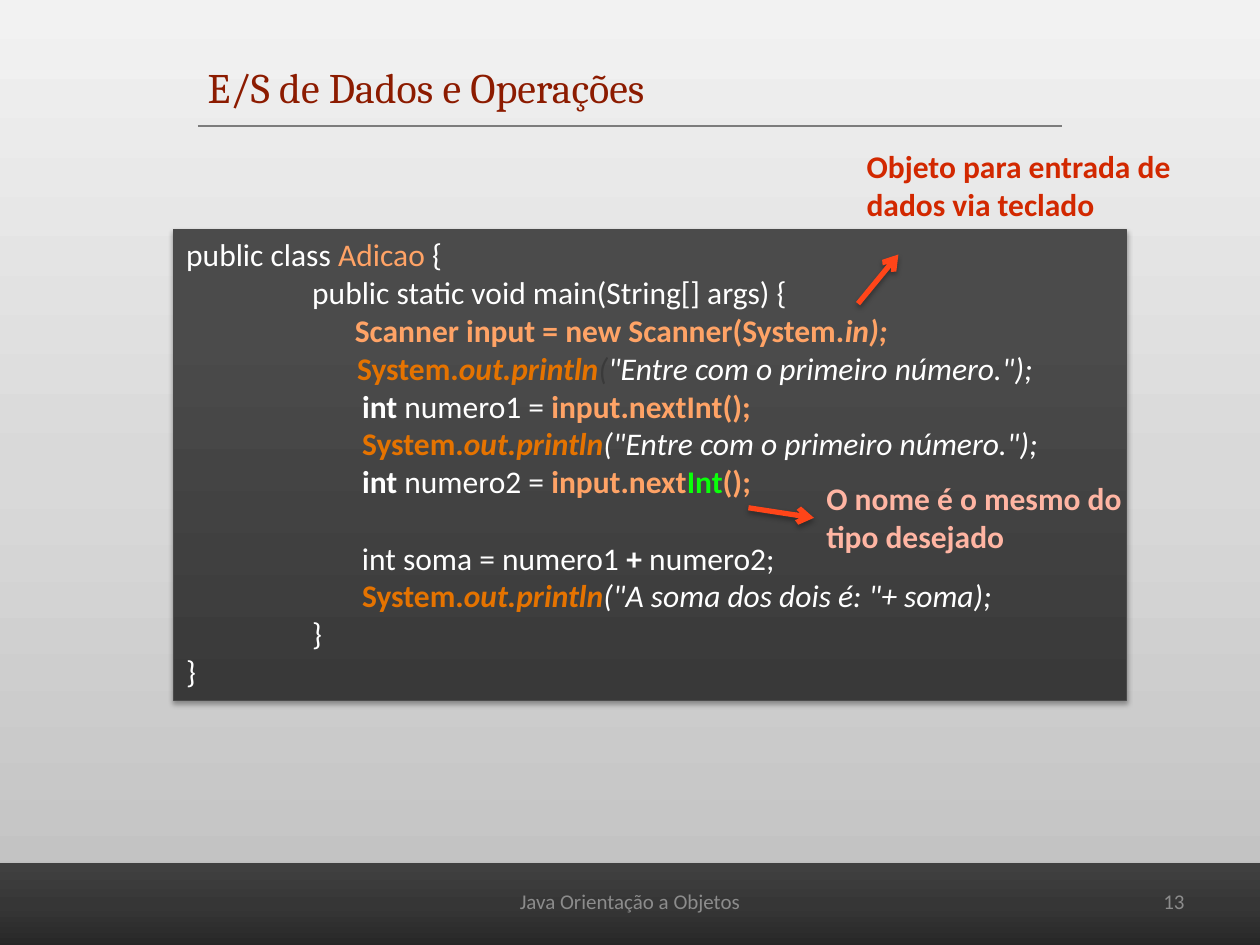
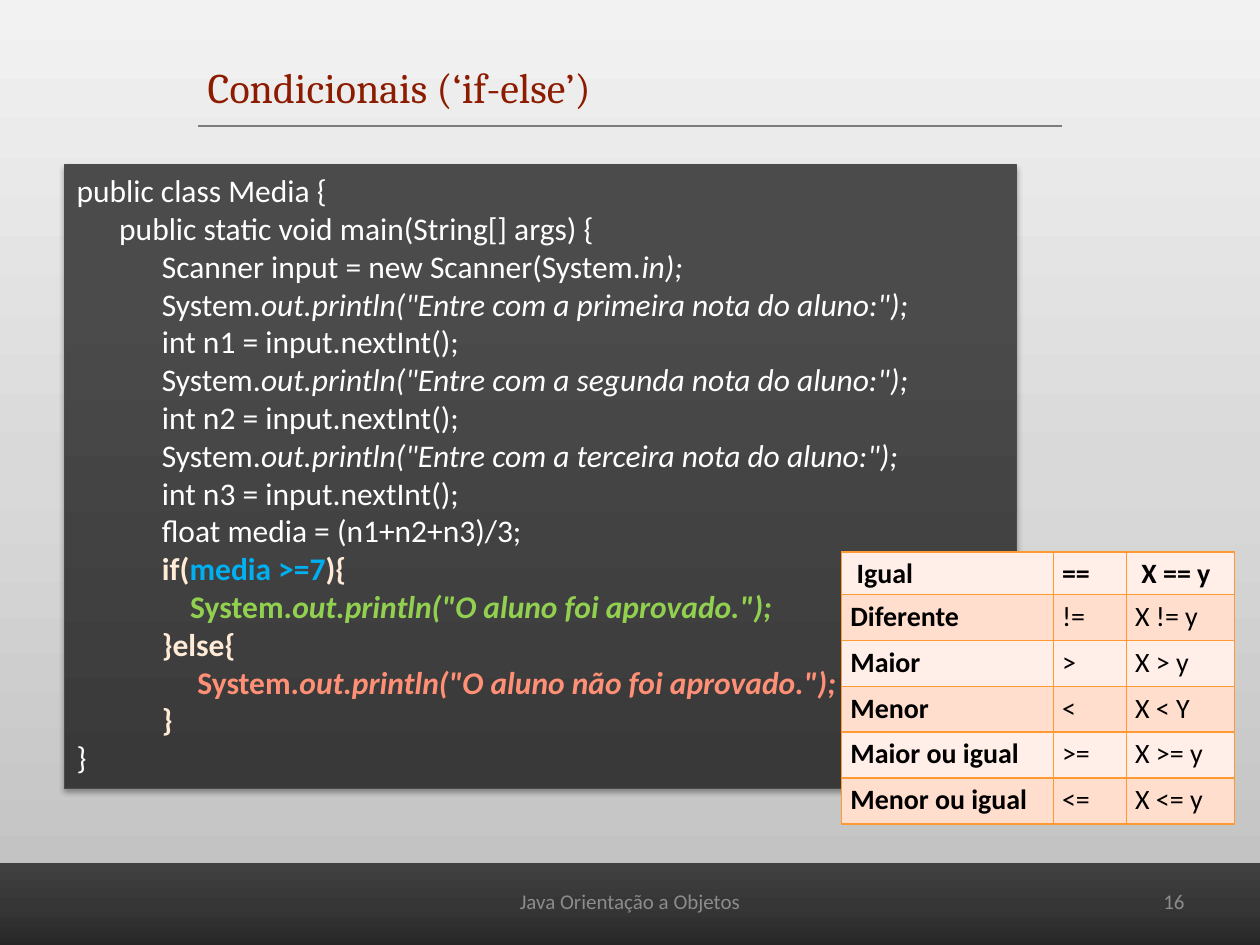
from lxml import etree
from pptx import Presentation
from pptx.dml.color import RGBColor
from pptx.enum.shapes import MSO_CONNECTOR, MSO_SHAPE
from pptx.enum.text import MSO_ANCHOR, PP_ALIGN
from pptx.oxml.ns import qn
from pptx.util import Inches, Pt

RECTANGLE = MSO_SHAPE.RECTANGLE
STRAIGHT = MSO_CONNECTOR.STRAIGHT
TOP, MIDDLE = MSO_ANCHOR.TOP, MSO_ANCHOR.MIDDLE
LEFT, CENTER, RIGHT, JUSTIFY = PP_ALIGN.LEFT, PP_ALIGN.CENTER, PP_ALIGN.RIGHT, PP_ALIGN.JUSTIFY

TITLE_RED = RGBColor(0x8C, 0x1B, 0x00)
RULE_GRAY = RGBColor(0x7C, 0x7C, 0x7C)
FOOTER_GRAY = RGBColor(0x8C, 0x8C, 0x8C)
CODE_BORDER = RGBColor(0x4B, 0x4B, 0x4B)
DARK_GRAY = RGBColor(0x3A, 0x3A, 0x3A)
WHITE = RGBColor(0xFF, 0xFF, 0xFF)
BLACK = RGBColor(0x00, 0x00, 0x00)
PEACH = RGBColor(0xFF, 0xA3, 0x66)
ORANGE = RGBColor(0xE5, 0x73, 0x00)
NEON_GREEN = RGBColor(0x0A, 0xFF, 0x0A)
CREAM = RGBColor(0xFF, 0xEB, 0xD6)
SKY_BLUE = RGBColor(0x00, 0xB0, 0xF0)
PASS_GREEN = RGBColor(0x92, 0xD0, 0x50)
FAIL_RED = RGBColor(0xFF, 0x8F, 0x75)
ARROW_RED = RGBColor(0xFF, 0x45, 0x19)
NOTE_RED = RGBColor(0xD2, 0x28, 0x00)
NOTE_PINK = RGBColor(0xFF, 0xB5, 0xA3)
TABLE_BORDER = RGBColor(0xFF, 0x99, 0x33)
ROW_FILLS = (RGBColor(0xFF, 0xEF, 0xE8), RGBColor(0xFF, 0xDE, 0xCE))

BACKGROUND_STOPS = (
    (0, RGBColor(0xF2, 0xF2, 0xF2)),
    (50, RGBColor(0xD9, 0xD9, 0xD9)),
    (100, RGBColor(0xBF, 0xBF, 0xBF)),
)
BAND_STOPS = (
    (0, RGBColor(0x40, 0x40, 0x40)),
    (50, RGBColor(0x36, 0x36, 0x36)),
    (100, RGBColor(0x26, 0x26, 0x26)),
)
CODE_STOPS = ((0, CODE_BORDER), (20, CODE_BORDER), (100, RGBColor(0x39, 0x39, 0x39)))

HEADING_FONT, BODY_FONT = "Cambria", "Calibri"
FOOTER_TEXT = "Java Orientação a Objetos"

PLAIN = (WHITE, False, False)
BOLD = (WHITE, True, False)
ITALIC = (WHITE, False, True)
PEACH_PLAIN = (PEACH, False, False)
PEACH_BOLD = (PEACH, True, False)
PEACH_ITALIC = (PEACH, True, True)
SYSTEM = (ORANGE, True, False)
PRINT = (ORANGE, True, True)
BRANCH = (CREAM, True, False)

STATEMENT = "\t       "
ADDITION_CODE = (
    (("public class ", PLAIN), ("Adicao", PEACH_PLAIN), (" {", PLAIN)),
    (("\tpublic static void main(String[] args) {", PLAIN),),
    (("\t      Scanner input = new Scanner(System.", PEACH_BOLD), ("in);", PEACH_ITALIC)),
    ((" " * 24, PLAIN), ("System.", SYSTEM), ("out.println", PRINT),
     ("(", (DARK_GRAY, False, True)), ('"Entre com o primeiro número.");', ITALIC)),
    ((STATEMENT, PLAIN), ("int", BOLD), (" numero1 = ", PLAIN), ("input.nextInt();", PEACH_BOLD)),
    ((STATEMENT, PLAIN), ("System.", SYSTEM), ("out.println", PRINT),
     ('("Entre com o primeiro número.");', ITALIC)),
    ((STATEMENT, PLAIN), ("int", BOLD), (" numero2 = ", PLAIN), ("input.next", PEACH_BOLD),
     ("Int", (NEON_GREEN, True, False)), ("();", PEACH_BOLD)),
    ((STATEMENT + "int soma = numero1 ", PLAIN), ("+ ", BOLD), ("numero2;", PLAIN)),
    ((STATEMENT, PLAIN), ("System.", SYSTEM), ("out.println", PRINT),
     ('("A soma dos dois é: "+ soma);', ITALIC)),
    (("\t}", PLAIN),),
    (("}", PLAIN),),
)
SUM_LINE = 7

INDENT = " " * 12


def grade_prompt(variable, ordinal):
    return (
        ((INDENT + "System.", PLAIN),
         (f'out.println("Entre com a {ordinal} nota do aluno:");', ITALIC)),
        ((f"{INDENT}int {variable} = input.nextInt();", PLAIN),),
    )


AVERAGE_CODE = (
    (("public class Media {", PLAIN),),
    (("      public static void main(String[] args) {", PLAIN),),
    ((INDENT + "Scanner input = new Scanner(System.", PLAIN), ("in);", ITALIC)),
    *grade_prompt("n1", "primeira"),
    *grade_prompt("n2", "segunda"),
    *grade_prompt("n3", "terceira"),
    ((INDENT + "float media = (n1+n2+n3)/3;", PLAIN),),
    ((INDENT + "if(", BRANCH), ("media >=7", (SKY_BLUE, True, False)), ("){", BRANCH)),
    ((INDENT + "    System.", (PASS_GREEN, True, False)),
     ('out.println("O aluno foi aprovado.");', (PASS_GREEN, True, True))),
    ((INDENT + "}else{", BRANCH),),
    ((INDENT + "     System.", (FAIL_RED, True, False)),
     ('out.println("O aluno não foi aprovado.");', (FAIL_RED, True, True))),
    ((INDENT + "}", BRANCH),),
    (("}", PLAIN),),
)

OPERATORS = (
    (" Igual", "==", " X == y"),
    ("Diferente", "!=", "X != y"),
    ("Maior", ">", "X > y"),
    ("Menor", "<", "X < Y"),
    ("Maior ou igual", ">=", "X >= y"),
    ("Menor ou igual", "<=", "X <= y"),
)


def add_element(parent, tag, **attributes):
    return etree.SubElement(parent, qn(tag), {key: str(value) for key, value in attributes.items()})


def set_gradient(fill, owner, stops):
    fill.gradient()
    fill.gradient_angle = 270
    stop_list = owner.find(".//" + qn("a:gsLst"))
    for stop in list(stop_list):
        stop_list.remove(stop)
    for position, color in stops:
        stop = add_element(stop_list, "a:gs", pos=position * 1000)
        add_element(stop, "a:srgbClr", val=color)


def set_effects(shape, shadow):
    effects = add_element(shape._element.spPr, "a:effectLst")
    if shadow:
        outer = add_element(effects, "a:outerShdw", blurRad=Pt(3.1), dist=Pt(1.8),
                            dir=5400000, rotWithShape=0)
        color = add_element(outer, "a:srgbClr", val=BLACK)
        add_element(color, "a:alpha", val=35000)


def set_font(paragraph, name, size, color, bold=False):
    font = paragraph.font
    font.name, font.size, font.bold = name, Pt(size), bold
    font.color.rgb = color


def add_text(slide, box, lines, size, color, name=BODY_FONT, bold=False,
             alignment=LEFT, anchor=TOP, wrap=True):
    frame = slide.shapes.add_textbox(*map(Inches, box)).text_frame
    frame.word_wrap = wrap
    frame.vertical_anchor = anchor
    frame.text = "\n".join(lines)
    for paragraph in frame.paragraphs:
        paragraph.alignment = alignment
        set_font(paragraph, name, size, color, bold)


def add_line(slide, start, end, color, width, arrow=False):
    connector = slide.shapes.add_connector(STRAIGHT, *map(Inches, (*start, *end)))
    connector.line.color.rgb = color
    connector.line.width = Pt(width)
    if arrow:
        add_element(connector._element.spPr.find(qn("a:ln")), "a:tailEnd", type="arrow")
    set_effects(connector, shadow=arrow)


def add_panel(slide, box, stops, border=None):
    panel = slide.shapes.add_shape(RECTANGLE, *map(Inches, box))
    set_gradient(panel.fill, panel._element.spPr, stops)
    if border is None:
        panel.line.fill.background()
    else:
        panel.line.color.rgb = border
        panel.line.width = Pt(0.75)
    set_effects(panel, shadow=True)
    return panel


def add_base_slide(presentation, title, number):
    slide = presentation.slides.add_slide(presentation.slide_layouts[6])
    set_gradient(slide.background.fill, slide._element, BACKGROUND_STOPS)
    add_panel(slide, (-0.12, 6.85, 10.24, 0.68), BAND_STOPS)
    add_line(slide, (1.57, 1), (8.43, 1), RULE_GRAY, 0.75)
    add_text(slide, (1.55, 0.44, 4.11, 0.5), [title], 24, TITLE_RED, HEADING_FONT, wrap=False)
    add_text(slide, (7.17, 6.95, 2.33, 0.4), [str(number)], 12, FOOTER_GRAY,
             alignment=RIGHT, anchor=MIDDLE)
    add_text(slide, (3.42, 6.95, 3.16, 0.4), [FOOTER_TEXT], 12, FOOTER_GRAY,
             alignment=CENTER, anchor=MIDDLE)
    return slide


def add_code(slide, box, code, spaced_line=None):
    frame = add_panel(slide, box, CODE_STOPS, CODE_BORDER).text_frame
    frame.word_wrap = True
    frame.vertical_anchor = TOP
    for index, line in enumerate(code):
        paragraph = frame.add_paragraph() if index else frame.paragraphs[0]
        paragraph.alignment = LEFT
        if index == spaced_line:
            paragraph.space_before = Pt(22)
        tabs = add_element(paragraph._p.get_or_add_pPr(), "a:tabLst")
        add_element(tabs, "a:tab", pos=Inches(1), algn="l")
        set_font(paragraph, BODY_FONT, 18, WHITE)
        for text, (color, bold, italic) in line:
            run = paragraph.add_run()
            run.text = text
            run.font.color.rgb = color
            run.font.bold, run.font.italic = bold, italic


def style_cell(cell, text, fill, bold):
    properties = cell._tc.get_or_add_tcPr()
    for side in "LRTB":
        border = add_element(properties, f"a:ln{side}", w=Pt(1))
        add_element(add_element(border, "a:solidFill"), "a:srgbClr", val=TABLE_BORDER)
    cell.fill.solid()
    cell.fill.fore_color.rgb = fill
    cell.margin_left = cell.margin_right = Inches(0.07)
    cell.margin_top = cell.margin_bottom = 0
    cell.text = text
    paragraph = cell.text_frame.paragraphs[0]
    paragraph.alignment = JUSTIFY
    paragraph.line_spacing = 1.15
    set_font(paragraph, BODY_FONT, 16, BLACK, bold)


def add_operator_table(slide, box):
    height, first_height = box[3], 0.34
    table = slide.shapes.add_table(len(OPERATORS), 3, *map(Inches, box)).table
    table.first_row = table.horz_banding = False
    for column, width in zip(table.columns, (1.68, 0.58, 0.86)):
        column.width = Inches(width)
    for index, texts in enumerate(OPERATORS):
        row_height = (height - first_height) / (len(OPERATORS) - 1) if index else first_height
        table.rows[index].height = Inches(row_height)
        for position, text in enumerate(texts):
            style_cell(table.cell(index, position), text, ROW_FILLS[index % 2],
                       bold=index == 0 or position == 0)


def add_input_slide(presentation):
    slide = add_base_slide(presentation, "E/S de Dados e Operações", 13)
    add_code(slide, (1.38, 1.82, 7.56, 3.74), ADDITION_CODE, SUM_LINE)
    add_line(slide, (6.81, 2.41), (7.13, 2.02), ARROW_RED, 3, arrow=True)
    add_text(slide, (6.78, 1.12, 2.63, 0.71), ["Objeto para entrada de", "dados via teclado"],
             18, NOTE_RED, bold=True, wrap=False)
    add_text(slide, (6.46, 3.75, 2.63, 0.71), ["O nome é o mesmo do tipo desejado"],
             18, NOTE_PINK, bold=True)
    add_line(slide, (5.94, 4.03), (6.46, 4.11), ARROW_RED, 3, arrow=True)


def add_conditional_slide(presentation):
    slide = add_base_slide(presentation, "Condicionais (‘if-else’)", 16)
    add_code(slide, (0.51, 1.31, 7.56, 4.95), AVERAGE_CODE)
    add_operator_table(slide, (6.68, 4.38, 3.12, 2.16))


def main():
    presentation = Presentation()
    presentation.slide_width = Inches(10)
    presentation.slide_height = Inches(7.5)
    add_input_slide(presentation)
    add_conditional_slide(presentation)
    presentation.save("out.pptx")


if __name__ == "__main__":
    main()
